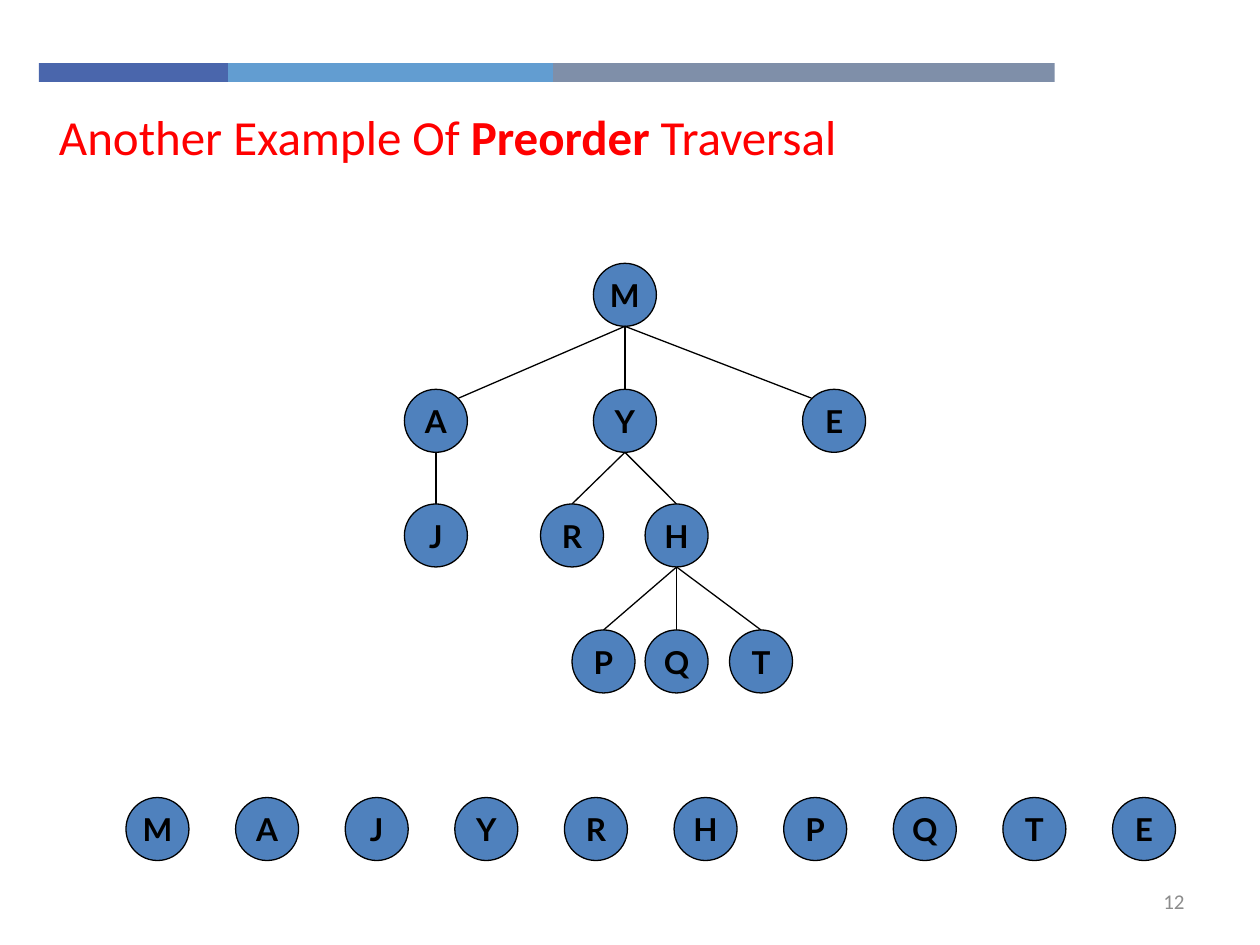
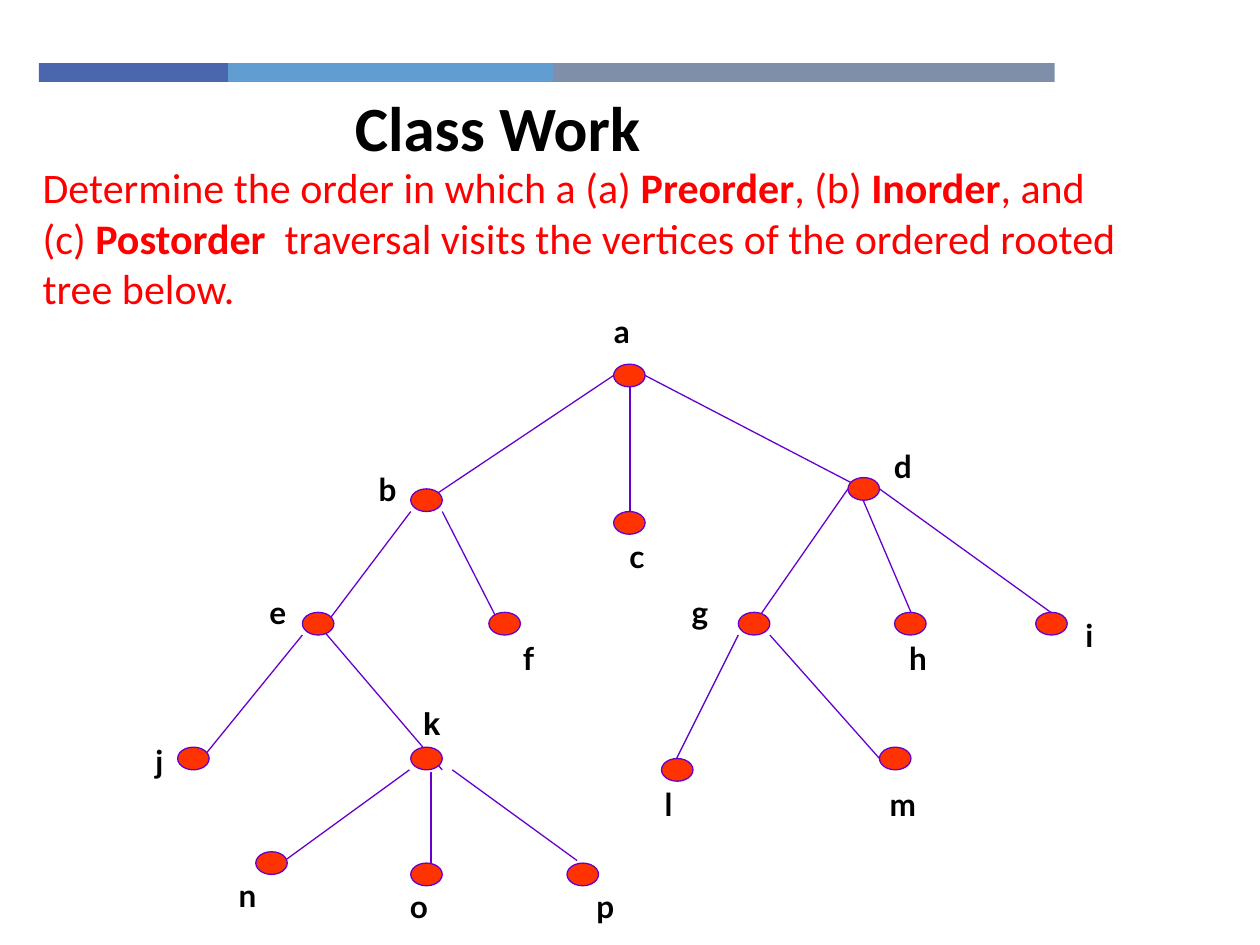
from dataclasses import dataclass

from lxml import etree
from pptx import Presentation
from pptx.dml.color import RGBColor
from pptx.enum.shapes import MSO_CONNECTOR, MSO_SHAPE
from pptx.enum.text import MSO_ANCHOR, PP_ALIGN
from pptx.oxml.ns import qn
from pptx.util import Inches, Pt

LEFT, CENTER, RIGHT = PP_ALIGN.LEFT, PP_ALIGN.CENTER, PP_ALIGN.RIGHT
TOP, MIDDLE = MSO_ANCHOR.TOP, MSO_ANCHOR.MIDDLE
RECT, OVAL = MSO_SHAPE.RECTANGLE, MSO_SHAPE.OVAL
STRAIGHT = MSO_CONNECTOR.STRAIGHT

BLACK, RED, GRAY = "000000", "FF0000", "8C8C8C"
NODE_FILL, VERTEX_FILL, VERTEX_LINE = "4F81BD", "FF3300", "6600CC"
TITLE_FONT, NODE_FONT = "Calibri", "Lato"
LINE_WIDTH = 0.75

# Band across the top: width and colour of each piece
BAND_LEFT, BAND_TOP, BAND_HEIGHT = 0.31, 0.5, 0.15
BAND = [(1.5, "4A66AC"), (2.58, "629DD1"), (3.98, "7F8FA9")]


@dataclass
class Node:
    """A lettered circle of the preorder tree."""
    x: float
    y: float
    children: str = ""


@dataclass
class Vertex:
    """A small oval of the class work tree with its label beside it."""
    name: str
    x: float
    y: float
    label_x: float
    label_y: float


@dataclass
class Edge:
    x1: float
    y1: float
    x2: float
    y2: float


NODE_SIZE = 0.5
DIAGONAL = 0.18  # reach of a circle's 45 degree point from its centre
TREE = {
    "M": Node(4.71, 2.09, "AYE"),
    "A": Node(3.21, 3.09, "J"),
    "Y": Node(4.71, 3.09, "RH"),
    "E": Node(6.37, 3.09),
    "J": Node(3.21, 4),
    "R": Node(4.29, 4),
    "H": Node(5.12, 4, "PQT"),
    "P": Node(4.54, 5),
    "Q": Node(5.12, 5),
    "T": Node(5.79, 5),
}
ORDER_LEFT, ORDER_TOP, ORDER_STEP = 1, 6.33, 0.87

VERTEX_W, VERTEX_H = 0.25, 0.18
LABEL_W, LABEL_H = 1.11, 0.36
VERTICES = [
    Vertex("a", 4.87, 2.89, 4.38, 2.45),
    Vertex("b", 3.26, 3.88, 2.52, 3.7),
    Vertex("c", 4.87, 4.06, 4.5, 4.23),
    Vertex("d", 6.73, 3.79, 6.61, 3.52),
    Vertex("e", 2.4, 4.86, 1.65, 4.68),
    Vertex("f", 3.88, 4.86, 3.64, 5.04),
    Vertex("g", 5.86, 4.86, 5, 4.68),
    Vertex("h", 7.1, 4.86, 6.73, 5.04),
    Vertex("i", 8.22, 4.86, 8.09, 4.86),
    Vertex("j", 1.41, 5.93, 0.71, 5.86),
    Vertex("k", 3.26, 5.93, 2.87, 5.56),
    Vertex("l", 5.25, 6.02, 4.75, 6.2),
    Vertex("m", 6.98, 5.93, 6.61, 6.2),
    Vertex("n", 2.03, 6.76, 1.41, 6.92),
    Vertex("o", 3.26, 6.85, 2.77, 7.01),
    Vertex("p", 4.5, 6.85, 4.25, 7.01),
]
LABEL_FONTS = {"k": "Arial"}
EDGES = [
    # from a
    Edge(4.87, 2.98, 3.39, 3.97),
    Edge(5, 3.07, 5, 4.06),
    Edge(5.12, 2.98, 6.85, 3.88),
    # from b
    Edge(3.26, 4.06, 2.52, 5.04),
    Edge(3.51, 4.06, 4.01, 5.04),
    # from d
    Edge(6.73, 3.88, 6, 4.93),
    Edge(6.85, 3.97, 7.23, 4.86),
    Edge(6.98, 3.88, 8.34, 4.86),
    # from e
    Edge(2.4, 5.04, 1.53, 6.11),
    Edge(2.52, 4.95, 3.51, 6.11),
    # from g
    Edge(5.86, 5.04, 5.37, 6.02),
    Edge(6.11, 5.04, 6.98, 6.02),
    # from k
    Edge(3.25, 6.11, 2.26, 6.83),
    Edge(3.42, 6.13, 3.42, 6.85),
    Edge(3.59, 6.11, 4.58, 6.83),
]


def rgb(color: str) -> RGBColor:
    return RGBColor.from_string(color)


def write(sp, text: str, *, size: float = 18, font: str = NODE_FONT,
          color: str = BLACK, bold: bool = False, align=CENTER,
          anchor=MIDDLE, wrap: bool = False) -> None:
    """Fill a shape with text; asterisks enclose bold words."""
    tf = sp.text_frame
    tf.word_wrap = wrap
    tf.vertical_anchor = anchor
    for i, line in enumerate(text.split("\n")):
        p = tf.paragraphs[0] if i == 0 else tf.add_paragraph()
        p.alignment = align
        for j, part in enumerate(line.split("*")):
            if part:
                r = p.add_run()
                r.text = part
                r.font.name, r.font.size = font, Pt(size)
                r.font.bold = bold or j % 2 == 1
                r.font.color.rgb = rgb(color)


def add_text(s, x: float, y: float, w: float, h: float, text: str, **fmt):
    sp = s.shapes.add_textbox(Inches(x), Inches(y), Inches(w), Inches(h))
    write(sp, text, **fmt)
    return sp


def add_shape(s, kind, x: float, y: float, w: float, h: float, fill: str,
              line: str = ""):
    sp = s.shapes.add_shape(kind, Inches(x), Inches(y), Inches(w), Inches(h))
    sp.shadow.inherit = False
    sp.fill.solid()
    sp.fill.fore_color.rgb = rgb(fill)
    if line:
        sp.line.color.rgb = rgb(line)
        sp.line.width = Pt(LINE_WIDTH)
    else:
        sp.line.fill.background()
    return sp


def add_edge(s, e: Edge, color: str) -> None:
    c = s.shapes.add_connector(STRAIGHT, Inches(e.x1), Inches(e.y1),
                               Inches(e.x2), Inches(e.y2))
    c.line.color.rgb = rgb(color)
    c.line.width = Pt(LINE_WIDTH)
    etree.SubElement(c._element.spPr, qn("a:effectLst"))


def add_slide(prs, title: str, title_top: float, **fmt):
    """Blank slide with the band and a title."""
    s = prs.slides.add_slide(prs.slide_layouts[6])
    x = BAND_LEFT
    for width, color in BAND:
        add_shape(s, RECT, x, BAND_TOP, width, BAND_HEIGHT, color)
        x += width
    add_text(s, 0.37, title_top, 7.16, 0.54, title, font=TITLE_FONT,
             anchor=TOP, wrap=True, **fmt)
    return s


def add_node(s, name: str, x: float, y: float) -> None:
    sp = add_shape(s, OVAL, x, y, NODE_SIZE, NODE_SIZE, NODE_FILL, BLACK)
    write(sp, name, bold=True)


def preorder(name: str) -> str:
    return name + "".join(preorder(child) for child in TREE[name].children)


def node_edge(parent: Node, child: Node) -> Edge:
    """Bottom of the parent to the top, or near shoulder, of the child."""
    r = NODE_SIZE / 2
    x1, x2, y2 = parent.x + r, child.x + r, child.y
    if abs(x2 - x1) > 1:
        x2 += DIAGONAL if x2 < x1 else -DIAGONAL
        y2 += r - DIAGONAL
    return Edge(x1, parent.y + NODE_SIZE, x2, y2)


def preorder_slide(prs) -> None:
    s = add_slide(prs, "Another Example Of *Preorder* Traversal", 0.8,
                  size=28, color=RED, align=LEFT)
    # Tree
    for name, node in TREE.items():
        add_node(s, name, node.x, node.y)
        for child in node.children:
            add_edge(s, node_edge(node, TREE[child]), BLACK)
    # Visiting order
    for i, name in enumerate(preorder("M")):
        add_node(s, name, ORDER_LEFT + i * ORDER_STEP, ORDER_TOP)
    # Page number
    add_text(s, 7.17, 6.95, 2.33, 0.4, "12", size=12, font=TITLE_FONT,
             color=GRAY, align=RIGHT, wrap=True)


def class_work_slide(prs) -> None:
    s = add_slide(prs, "Class Work", 0.65, size=36, bold=True)
    # Task
    add_text(s, 0.24, 1.37, 9, 1.03,
             "Determine the order in which a (a) *Preorder*, (b) *Inorder*, and\n"
             "(c) *Postorder*  traversal visits the vertices of the ordered "
             "rooted tree below.",
             size=24, font=TITLE_FONT, color=RED, align=LEFT, wrap=True)
    # Tree: edges behind vertices
    for edge in EDGES:
        add_edge(s, edge, VERTEX_LINE)
    for v in VERTICES:
        add_shape(s, OVAL, v.x, v.y, VERTEX_W, VERTEX_H, VERTEX_FILL, VERTEX_LINE)
        add_text(s, v.label_x, v.label_y, LABEL_W, LABEL_H, v.name, bold=True,
                 font=LABEL_FONTS.get(v.name, NODE_FONT))


def main() -> None:
    prs = Presentation()
    prs.slide_width, prs.slide_height = Inches(10), Inches(7.5)
    preorder_slide(prs)
    class_work_slide(prs)
    prs.save("out.pptx")


if __name__ == "__main__":
    main()
